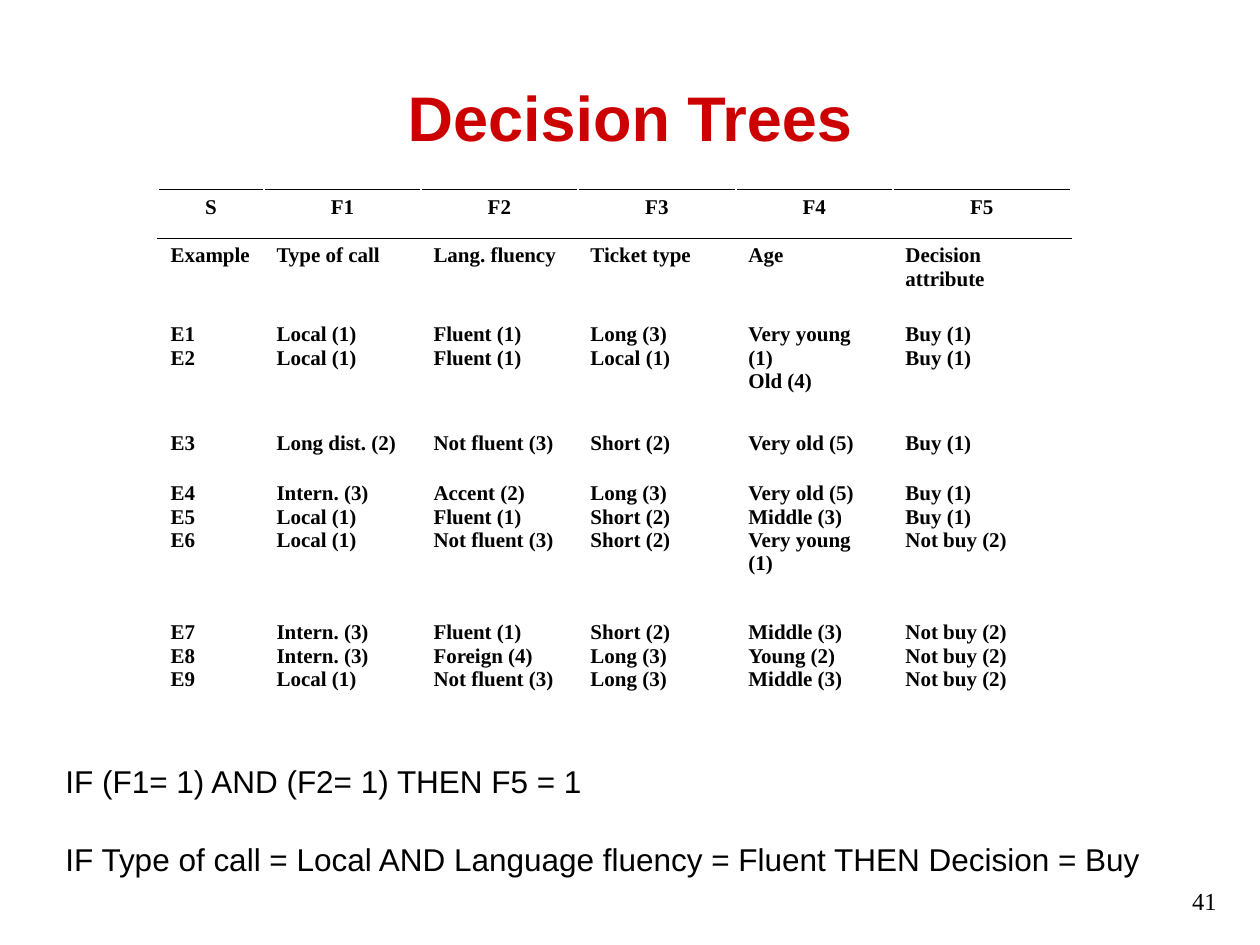
from lxml import etree
from pptx import Presentation
from pptx.dml.color import RGBColor
from pptx.enum.text import MSO_ANCHOR, PP_ALIGN
from pptx.oxml.ns import qn
from pptx.util import Pt

PX_PER_INCH = 126
COLORS = {"title": "CC0000", "text": "000000", "rule": "000000"}
SANS, SERIF = "Arial", "Times New Roman"
LEFT, CENTER, RIGHT = PP_ALIGN.LEFT, PP_ALIGN.CENTER, PP_ALIGN.RIGHT
TOP, MIDDLE = MSO_ANCHOR.TOP, MSO_ANCHOR.MIDDLE
RULE_WIDTH = Pt(0.45)

COLUMN_WIDTHS = [106, 157, 157, 158, 157, 178]
ROW_HEIGHTS = [49, 79, 109, 50, 139, 110]
# Each table row holds one or more lines, and each line has one entry per column.
TABLE_ROWS = [
    [["S", "F1", "F2", "F3", "F4", "F5"]],
    [["Example", "Type of call", "Lang. fluency", "Ticket type", "Age",
      "Decision attribute"]],
    [["E1", "Local (1)", "Fluent (1)", "Long (3)", "Very young (1)", "Buy (1)"],
     ["E2", "Local (1)", "Fluent (1)", "Local (1)", "Old (4)", "Buy (1)"]],
    [["E3", "Long dist. (2)", "Not fluent (3)", "Short (2)", "Very old (5)", "Buy (1)"]],
    [["E4", "Intern. (3)", "Accent (2)", "Long (3)", "Very old (5)", "Buy (1)"],
     ["E5", "Local (1)", "Fluent (1)", "Short (2)", "Middle (3)", "Buy (1)"],
     ["E6", "Local (1)", "Not fluent (3)", "Short (2)", "Very young (1)", "Not buy (2)"]],
    [["E7", "Intern. (3)", "Fluent (1)", "Short (2)", "Middle (3)", "Not buy (2)"],
     ["E8", "Intern. (3)", "Foreign (4)", "Long (3)", "Young (2)", "Not buy (2)"],
     ["E9", "Local (1)", "Not fluent (3)", "Long (3)", "Middle (3)", "Not buy (2)"]],
]
RULES = [
    "IF (F1= 1) AND (F2= 1) THEN F5 = 1",
    "IF Type of call = Local AND Language fluency = Fluent THEN Decision = Buy",
]


def px(length):
    return round(length * 914400 / PX_PER_INCH)


def fill_text(frame, lines, font, size, color, bold=False, align=LEFT, gap=0):
    """Write one paragraph per line, with gap points between paragraphs."""
    frame.text = "\n".join(lines)
    for index, para in enumerate(frame.paragraphs):
        para.alignment = align
        if index and gap:
            para.space_before = Pt(gap)
        for span in para.runs:
            span.font.name = font
            span.font.size = Pt(size)
            span.font.bold = bold
            span.font.color.rgb = RGBColor.from_string(COLORS[color])


def add_text(page, bounds, lines, font, size, color="text", anchor=TOP, **style):
    box = page.shapes.add_textbox(*map(px, bounds))
    box.text_frame.word_wrap = True
    box.text_frame.vertical_anchor = anchor
    fill_text(box.text_frame, lines, font, size, color, **style)


def add_border(cell, side):
    """Draw a thin line on one side of a cell: lnT or lnB."""
    properties = cell._tc.get_or_add_tcPr()
    line = etree.SubElement(properties, qn(f"a:{side}"), w=str(RULE_WIDTH))
    fill = etree.SubElement(line, qn("a:solidFill"))
    etree.SubElement(fill, qn("a:srgbClr"), val=COLORS["rule"])


def add_examples_table(page, left, top):
    frame = page.shapes.add_table(
        len(ROW_HEIGHTS), len(COLUMN_WIDTHS), px(left), px(top),
        px(sum(COLUMN_WIDTHS)), px(sum(ROW_HEIGHTS)))
    table = frame.table
    table.first_row = table.horz_banding = False
    for column, width in zip(table.columns, COLUMN_WIDTHS):
        column.width = px(width)
    for row, height in zip(table.rows, ROW_HEIGHTS):
        row.height = px(height)
    for row_index, lines in enumerate(TABLE_ROWS):
        for column_index, entries in enumerate(zip(*lines)):
            cell = table.cell(row_index, column_index)
            if row_index <= 1:
                add_border(cell, "lnT")
            if row_index == 0:
                add_border(cell, "lnB")
            cell.fill.background()
            fill_text(cell.text_frame, entries, SERIF, 12, "text", bold=True,
                      align=LEFT if row_index else CENTER)


def main():
    deck = Presentation()
    deck.slide_width, deck.slide_height = px(1260), px(945)
    page = deck.slides.add_slide(deck.slide_layouts[6])
    add_text(page, (63, 38, 1134, 157), ["Decision Trees"], SANS, 36, "title",
             anchor=MIDDLE, bold=True, align=CENTER)
    add_examples_table(page, 158, 189)
    add_text(page, (53, 756, 1154, 126), RULES, SANS, 18, gap=23)
    add_text(page, (935, 880, 294, 65), ["41"], SERIF, 14, align=RIGHT)
    deck.save("out.pptx")


if __name__ == "__main__":
    main()
